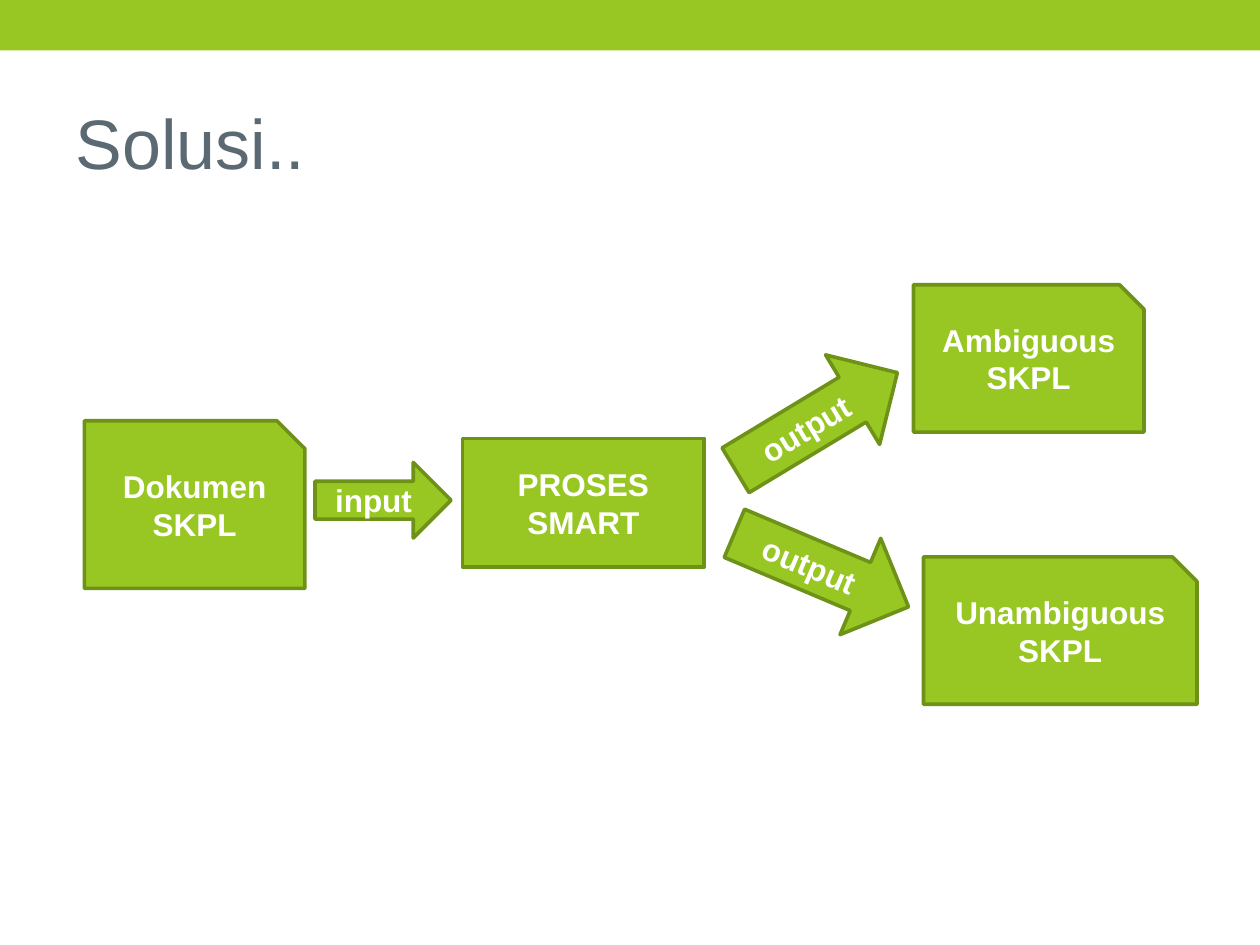
from pptx import Presentation
from pptx.dml.color import RGBColor
from pptx.enum.shapes import MSO_SHAPE as SHAPE
from pptx.enum.text import MSO_ANCHOR as ANCHOR, PP_ALIGN as ALIGN
from pptx.util import Inches, Pt

GREEN = RGBColor(0x98, 0xC7, 0x23)
DARK_GREEN = RGBColor(0x6E, 0x92, 0x17)
SLATE = RGBColor(0x5B, 0x69, 0x73)
WHITE = RGBColor(0xFF, 0xFF, 0xFF)


class Flow:
    """Holds the diagram style and the slide being built."""

    font = "Arial"
    title_size = Pt(40)
    label_size = Pt(18)
    line_width = Pt(2.07)
    snip = 1 / 6  # cut corner, as a share of the height

    def __init__(self, slide):
        self.s = slide

    def set_text(self, sp, text, size, color, align, bold=False):
        tf = sp.text_frame
        tf.text = text
        tf.word_wrap = True
        tf.vertical_anchor = ANCHOR.MIDDLE
        for p in tf.paragraphs:
            p.alignment = align
            for r in p.runs:
                r.font.name = self.font
                r.font.size = size
                r.font.bold = bold
                r.font.color.rgb = color

    def paint(self, sp, outlined=True):
        sp.shadow.inherit = False
        sp.fill.solid()
        sp.fill.fore_color.rgb = GREEN
        if outlined:
            sp.line.color.rgb = DARK_GREEN
            sp.line.width = self.line_width
        else:
            sp.line.fill.background()

    def label(self, sp, text):
        self.paint(sp)
        self.set_text(sp, text, self.label_size, WHITE, ALIGN.CENTER, bold=True)

    def title(self, text, x, y, w, h):
        sp = self.s.shapes.title
        sp.left, sp.top, sp.width, sp.height = map(Inches, (x, y, w, h))
        self.set_text(sp, text, self.title_size, SLATE, ALIGN.LEFT)

    def shape(self, kind, x, y, w, h):
        return self.s.shapes.add_shape(kind, *map(Inches, (x, y, w, h)))

    def bar(self, x, y, w, h):
        self.paint(self.shape(SHAPE.RECTANGLE, x, y, w, h), outlined=False)

    def process(self, text, x, y, w, h):
        self.label(self.shape(SHAPE.RECTANGLE, x, y, w, h), text)

    def arrow(self, text, x, y, w, h, angle=0):
        sp = self.shape(SHAPE.RIGHT_ARROW, x, y, w, h)
        sp.rotation = angle
        self.label(sp, text)

    def document(self, text, x, y, w, h):
        # Outline with the top right corner cut; the text area stays the full box
        cut = h * self.snip
        right, bottom = x + w, y + h
        corners = [(right - cut, y), (right, y + cut), (right, bottom), (x, bottom)]
        fb = self.s.shapes.build_freeform(Inches(x), Inches(y))
        fb.add_line_segments([(Inches(a), Inches(b)) for a, b in corners], close=True)
        self.label(fb.convert_to_shape(), text)


def main():
    prs = Presentation()
    prs.slide_width, prs.slide_height = Inches(10), Inches(7.5)
    flow = Flow(prs.slides.add_slide(prs.slide_layouts[5]))

    # Top bar and title
    flow.bar(0, 0, 10, 0.4)
    flow.title("Solusi..", 0.5, 0.58, 9, 1.08)

    # Input document and process
    flow.document("Dokumen SKPL", 0.67, 3.34, 1.75, 1.33)
    flow.process("PROSES\nSMART", 3.67, 3.48, 1.92, 1.02)

    # Output arrows and documents
    flow.arrow("output", 5.73, 2.93, 1.5, 0.83, 328.9)
    flow.arrow("output", 5.77, 4.11, 1.5, 0.83, 22.9)
    flow.document("Unambiguous SKPL", 7.33, 4.42, 2.17, 1.17)
    flow.document("Ambiguous SKPL", 7.25, 2.26, 1.83, 1.17)

    # Input arrow
    flow.arrow("input", 2.5, 3.67, 1.08, 0.6)

    prs.save("out.pptx")


if __name__ == "__main__":
    main()
